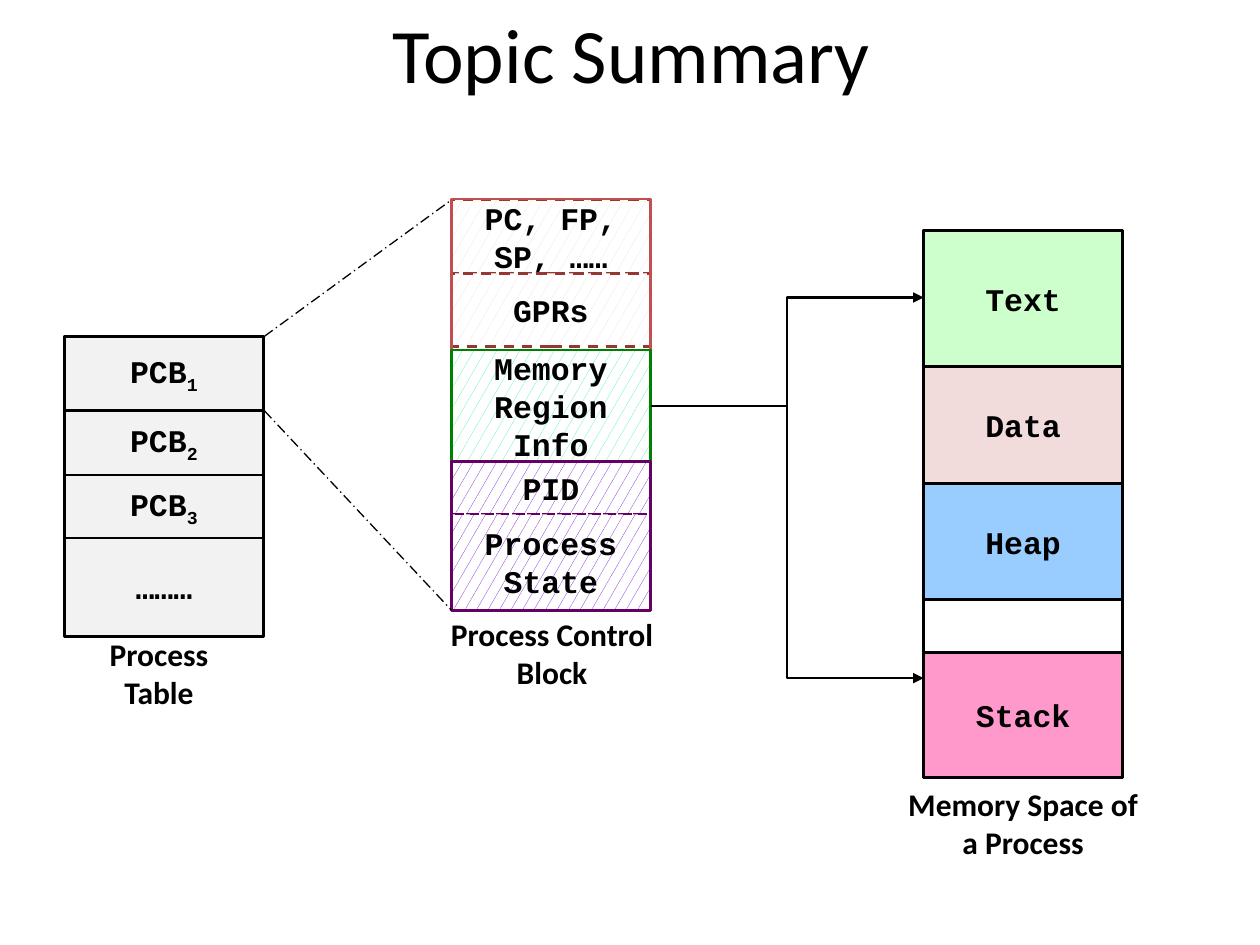
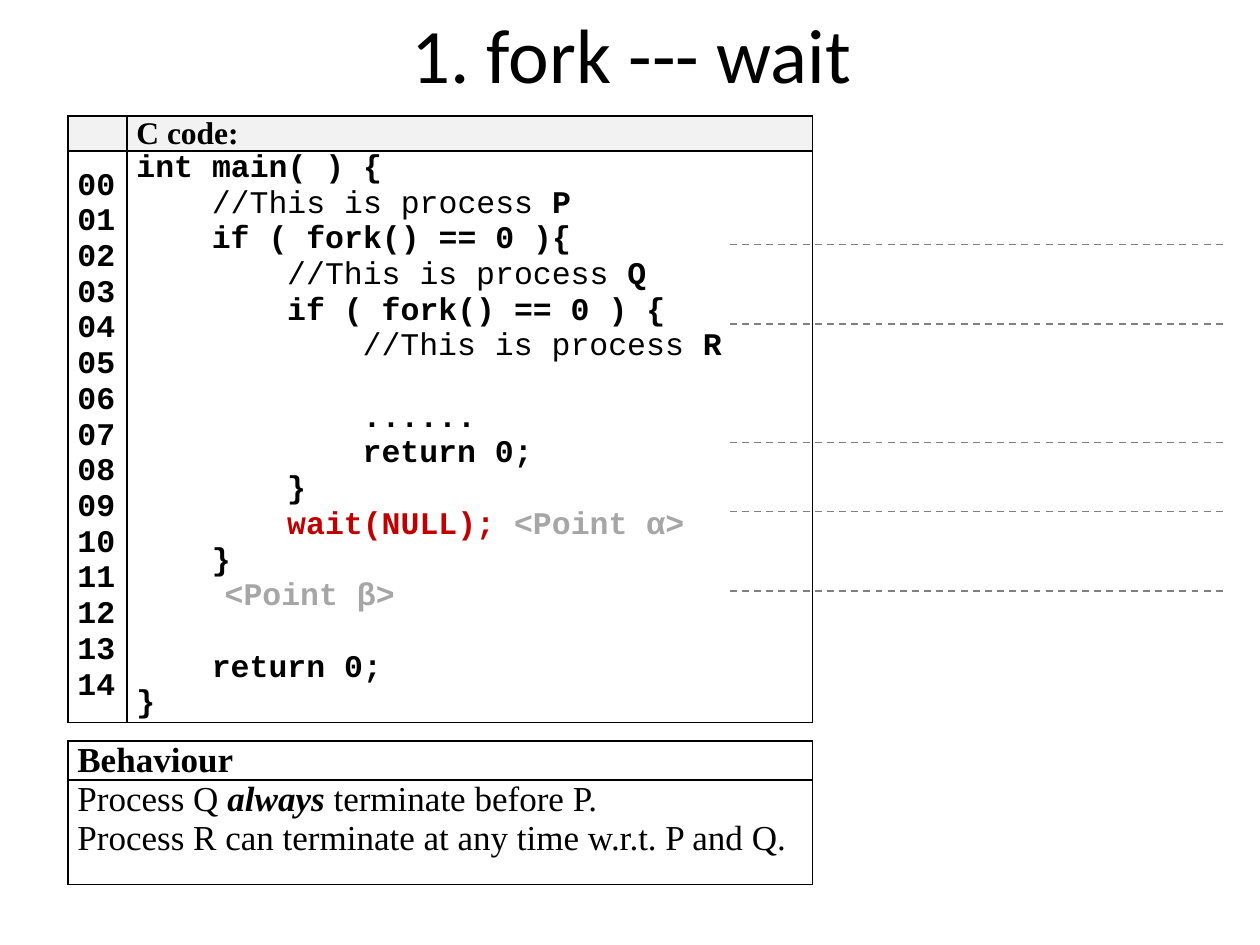
from lxml import etree
from pptx import Presentation
from pptx import util as u
from pptx.dml.color import RGBColor
from pptx.enum import dml, shapes, text
from pptx.oxml import ns

COLOURS = {
    "black": "000000", "white": "FFFFFF", "pale": "F2F2F2", "grey": "808080",
    "point": "A6A6A6", "red": "C00000", "mint": "CCFFCC", "rose": "F2DCDB",
    "sky": "99CCFF", "pink": "FF99CC", "violet": "6600CC", "plum": "660066",
    "brick": "953735", "coral": "C0504D", "lime": "34F499", "green": "008000",
}
BODY, CODE, PROSE = "Calibri", "Courier New", "Times New Roman"
COLUMN_WIDTH = 4.01
CENTER, LEFT, JUSTIFY = text.PP_ALIGN.CENTER, text.PP_ALIGN.LEFT, text.PP_ALIGN.JUSTIFY
MIDDLE, TOP = text.MSO_ANCHOR.MIDDLE, text.MSO_ANCHOR.TOP
DASH, LONG_DASH_DOT = dml.MSO_LINE.DASH, dml.MSO_LINE.LONG_DASH_DOT
CODE_STEP = 1.52
CODE_LINE = 20.4


def colour(name):
    return RGBColor.from_string(COLOURS[name])


def cm(*lengths):
    return [u.Cm(length) for length in lengths]


class SlideMaker:
    def __init__(self, deck):
        self.deck = deck
        self.slide = None

    def page(self, title):
        self.slide = self.deck.slides.add_slide(self.deck.slide_layouts[5])
        box = self.slide.shapes.title
        box.left, box.top, box.width, box.height = cm(1.3, 0, 22.86, 2.13)
        box.text_frame.text = title
        self.format(box.text_frame, BODY, 44, bold=False)

    def format(self, frame, font, size, bold=True, align=CENTER, anchor=MIDDLE):
        frame.word_wrap = True
        frame.vertical_anchor = anchor
        for para in frame.paragraphs:
            para.alignment = align
            for span in para.runs:
                self.style(span, font, size, bold)

    def style(self, span, font, size, bold=True, italic=False, ink="black"):
        span.font.name, span.font.size = font, u.Pt(size)
        span.font.bold, span.font.italic = bold, italic
        span.font.color.rgb = colour(ink)

    def spans(self, para, font, size, parts):
        for words, look in parts:
            span = para.add_run()
            span.text = words
            self.style(span, font, size, **look)

    def outline(self, line, ink, width, dash=None):
        line.color.rgb = colour(ink)
        line.width = u.Pt(width)
        if dash:
            line.dash_style = dash

    def box(self, left, top, height, label="", fill=None, pattern=None,
            ink="black", width=1.5, dash=None, subscript=""):
        box = self.slide.shapes.add_shape(
            shapes.MSO_SHAPE.RECTANGLE, *cm(left, top, COLUMN_WIDTH, height))
        box.shadow.inherit = False
        if pattern:
            box.fill.patterned()
            box.fill.pattern = dml.MSO_PATTERN.SMALL_CONFETTI
            box.fill.fore_color.rgb = colour(pattern)
            box.fill.back_color.rgb = colour("white")
        elif fill:
            box.fill.solid()
            box.fill.fore_color.rgb = colour(fill)
        else:
            box.fill.background()
        self.outline(box.line, ink, width, dash)
        if label:
            para = box.text_frame.paragraphs[0]
            para.text = label
            if subscript:
                span = para.add_run()
                span.text = subscript
                span._r.get_or_add_rPr().set("baseline", "-25000")
            self.format(box.text_frame, CODE, 18)

    def stack(self, left, top, rows):
        for height, look in rows:
            if look:
                self.box(left, top, height, **look)
            top += height

    def caption(self, left, top, width, words):
        box = self.slide.shapes.add_textbox(*cm(left, top, width, 1.22))
        box.text_frame.text = words
        self.format(box.text_frame, BODY, 18)

    def line(self, start, end, ink="black", width=1, dash=None, bent=False, arrow=False):
        kind = shapes.MSO_CONNECTOR.ELBOW if bent else shapes.MSO_CONNECTOR.STRAIGHT
        line = self.slide.shapes.add_connector(kind, *cm(*start, *end))
        self.outline(line.line, ink, width, dash)
        if arrow:
            etree.SubElement(line.line._get_or_add_ln(), ns.qn("a:tailEnd"), type="triangle")
        etree.SubElement(line._element.spPr, ns.qn("a:effectLst"))

    def table(self, left, top, widths, heights):
        frame = self.slide.shapes.add_table(
            len(heights), len(widths), *cm(left, top, sum(widths), sum(heights)))
        table = frame.table
        table.first_row = table.horz_banding = False
        for column, width in zip(table.columns, widths):
            column.width = u.Cm(width)
        for row, height in zip(table.rows, heights):
            row.height = u.Cm(height)
        for cell in table.iter_cells():
            cell.margin_left = cell.margin_right = u.Cm(0.19)
            cell.margin_top = cell.margin_bottom = 0
            self.borders(cell)
            self.shade(cell, "white")
        return table

    def borders(self, cell):
        properties = cell._tc.get_or_add_tcPr()
        for side in "LRTB":
            edge = etree.SubElement(properties, ns.qn(f"a:ln{side}"), w=str(u.Pt(1)))
            fill = etree.SubElement(edge, ns.qn("a:solidFill"))
            etree.SubElement(fill, ns.qn("a:srgbClr"), val=COLOURS["black"])

    def shade(self, cell, fill):
        cell.fill.solid()
        cell.fill.fore_color.rgb = colour(fill)

    def cell(self, cell, words, font, size, align=LEFT, anchor=MIDDLE, bold=True):
        cell.text_frame.text = words
        cell.vertical_anchor = anchor
        for para in cell.text_frame.paragraphs:
            para.alignment = align
            for span in para.runs:
                self.style(span, font, size, bold)

    def code(self, cell, lines):
        cell.vertical_anchor = MIDDLE
        frame = cell.text_frame
        for number, (level, blank_lines, parts) in enumerate(lines):
            para = frame.add_paragraph() if number else frame.paragraphs[0]
            para.space_before = u.Pt(blank_lines * CODE_LINE)
            properties = para._p.get_or_add_pPr()
            properties.set("marL", str(u.Cm(level * CODE_STEP)))
            properties.set("indent", "0")
            self.spans(para, CODE, 18, parts)


def summary_page(maker):
    maker.page("Topic Summary")

    memory_left, memory_top = 18.62, 4.65
    maker.stack(memory_left, memory_top, [
        (2.74, {"label": "Text", "fill": "mint"}),
        (2.36, {"label": "Data", "fill": "rose"}),
        (2.34, {"label": "Heap", "fill": "sky"}),
        (1.07, None),
        (2.51, {"label": "Stack", "fill": "pink"}),
    ])
    maker.box(memory_left, memory_top, 11.02)

    table_left, table_top = 1.3, 6.78
    maker.box(table_left, table_top, 6.05, fill="pale")
    rows = [(height, {"label": "PCB", "subscript": str(number), "fill": "pale"})
            for number, height in enumerate((1.5, 1.3, 1.27), 1)]
    rows.append((1.98, {"label": "………", "fill": "pale"}))
    maker.stack(table_left, table_top, rows)

    block_left, block_top = 9.1, 4.03
    registers = {"pattern": "rose", "ink": "brick", "dash": DASH}
    identity = {"pattern": "violet", "ink": "plum", "width": 1.25, "dash": DASH}
    maker.stack(block_left, block_top, [
        (1.48, {"label": "PC, FP, SP, ……", **registers}),
        (1.48, {"label": "GPRs", **registers}),
    ])
    maker.box(block_left, 4.01, 3.07, ink="coral")
    maker.stack(block_left, 7.06, [
        (2.24, {"label": "Memory Region Info", "pattern": "lime", "ink": "green"}),
        (1.07, {"label": "PID", **identity}),
        (1.93, {"label": "Process State", **identity}),
    ])
    maker.box(block_left, 9.31, 3, ink="plum")

    for start, end in ((6.78, 4.03), (8.28, 12.3)):
        maker.line((5.33, start), (block_left, end), width=0.75, dash=LONG_DASH_DOT)
    for target in (6.0, 13.67):
        maker.line((13.12, 8.18), (memory_left, target), width=1.25, bent=True, arrow=True)

    maker.caption(1.3, 12.95, 3.81, "Process Table")
    maker.caption(8.74, 12.55, 4.78, "Process Control Block")
    maker.caption(18.01, 15.98, 5.23, "Memory Space of a Process")


def fork_page(maker):
    maker.page("1. fork --- wait")
    plain, bold = {"bold": False}, {}
    point = {"ink": "point"}

    def comment(process):
        return [("//This is process ", plain), (process, bold)]

    listing = maker.table(1.37, 2.34, [1.19, 13.82], [0.7, 11.5])
    corner, heading = listing.cell(0, 0), listing.cell(0, 1)
    maker.shade(corner, "pale")
    maker.shade(heading, "pale")
    etree.SubElement(corner.text_frame.paragraphs[0]._p, ns.qn("a:endParaRPr"), sz="1200")
    maker.cell(heading, "C code:", PROSE, 18, JUSTIFY)
    numbers = "\n".join(f"{number:02}" for number in range(15))
    maker.cell(listing.cell(1, 0), numbers, CODE, 18)
    maker.code(listing.cell(1, 1), [
        (0, 0, [("int main( ) {", bold)]),
        (1, 0, comment("P")),
        (1, 0, [("if ( fork() == 0 ){", bold)]),
        (2, 0, comment("Q")),
        (2, 0, [("if ( fork() == 0 ) {", bold)]),
        (3, 0, comment("R")),
        (3, 1, [("......", bold)]),
        (3, 0, [("return 0;", bold)]),
        (2, 0, [("}", bold)]),
        (2, 0, [("wait(NULL); ", {"ink": "red"}), ("<Point α>", point)]),
        (1, 0, [("}", bold)]),
        (1.17, 0, [("<Point β>", point)]),
        (1, 1, [("return 0;", bold)]),
        (0, 0, [("}", bold)]),
    ])

    behaviour = maker.table(1.37, 14.94, [15.01], [0.78, 2.11])
    maker.cell(behaviour.cell(0, 0), "Behaviour", PROSE, 20, JUSTIFY, TOP)
    outcome = behaviour.cell(1, 0)
    maker.cell(outcome, "\nProcess R can terminate at any time w.r.t. P and Q.",
               PROSE, 20, JUSTIFY, TOP, bold=False)
    maker.spans(outcome.text_frame.paragraphs[0], PROSE, 20, [
        ("Process Q ", plain),
        ("always", {"italic": True}),
        (" terminate before P.", plain),
    ])

    for top in (4.93, 6.53, 8.92, 10.31, 11.91):
        maker.line((14.71, top), (24.69, top), ink="grey", dash=DASH)


def main():
    deck = Presentation()
    deck.slide_width, deck.slide_height = cm(25.4, 19.05)
    maker = SlideMaker(deck)
    summary_page(maker)
    fork_page(maker)
    deck.save("out.pptx")


if __name__ == "__main__":
    main()
